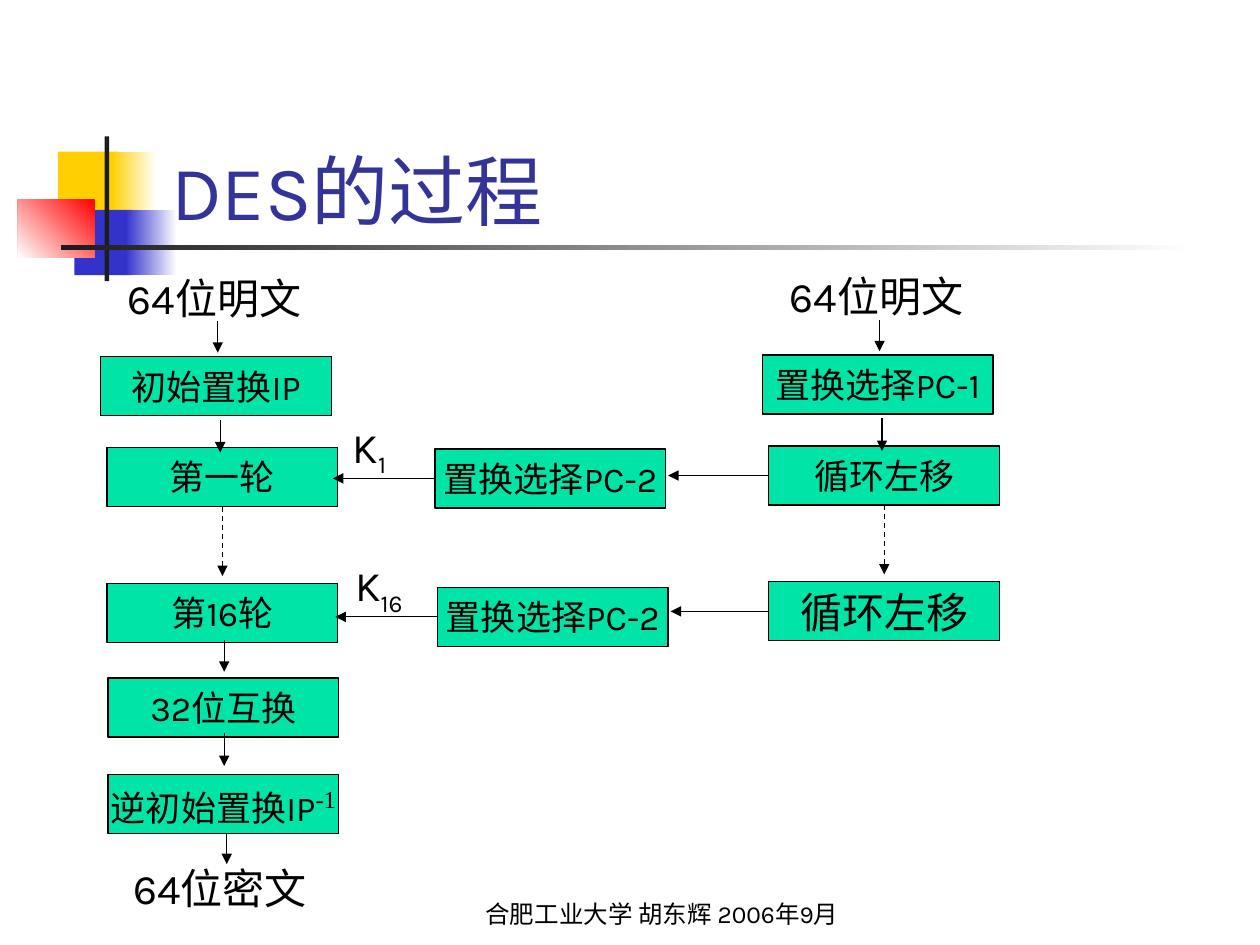
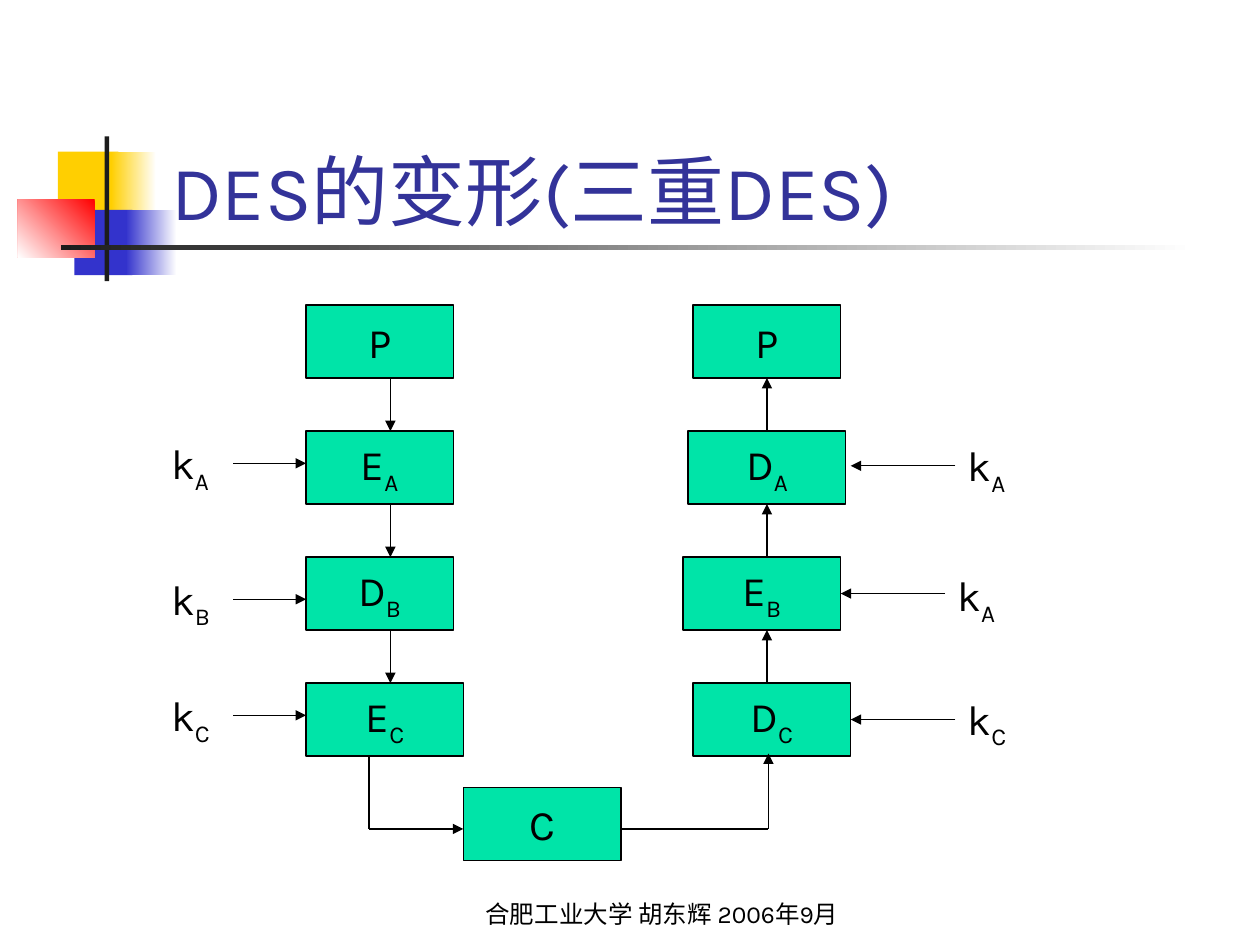
import math

import pptx
import pptx.dml.color
import pptx.enum.dml
import pptx.enum.shapes
import pptx.enum.text
import pptx.oxml
import pptx.oxml.ns
import pptx.util

Cm = pptx.util.Cm
ALIGN = pptx.enum.text.PP_ALIGN
ANCHOR = pptx.enum.text.MSO_ANCHOR
KIND = pptx.enum.shapes.MSO_SHAPE_TYPE

FONT = "Karla"
BLACK, WHITE, GREEN = "000000", "FFFFFF", "00E4A8"
GOLD, BLUE, RED, DARK, NAVY = "FFCF01", "3333CC", "FF0000", "1C1C1C", "333399"
FOOTER = "合肥工业大学 胡东辉 2006年9月"
SNAP = Cm(0.06)


def rgb(code):
    return pptx.dml.color.RGBColor.from_string(code)


def write(shape, text, size=24, color=BLACK, align=ALIGN.LEFT, anchor=ANCHOR.TOP,
          wrap=True, tail="", shift=-25, tail_font=FONT, tail_size=None):
    """Fill a shape with text and an optional raised or lowered tail."""
    frame = shape.text_frame
    frame.word_wrap = wrap
    frame.auto_size = pptx.enum.text.MSO_AUTO_SIZE.NONE
    frame.vertical_anchor = anchor
    frame.margin_left = frame.margin_right = Cm(0.25)
    frame.margin_top = frame.margin_bottom = Cm(0.13)
    para = frame.paragraphs[0]
    para.alignment = align
    parts = [(text, FONT, size, 0), (tail, tail_font, tail_size or size, shift)]
    for words, name, points, base in parts:
        if not words:
            continue
        run = para.add_run()
        run.text = words
        run.font.name = name
        run.font.size = pptx.util.Pt(points)
        run.font.color.rgb = rgb(color)
        if base:
            run._r.get_or_add_rPr().set("baseline", str(base * 1000))


def rect(slide, x, y, w, h, fill, end=None, angle=180):
    """Add a plain rectangle, shaded from fill to end when end is given."""
    kind = pptx.enum.shapes.MSO_SHAPE.RECTANGLE
    shape = slide.shapes.add_shape(kind, Cm(x), Cm(y), Cm(w), Cm(h))
    shape.shadow.inherit = False
    shape.line.fill.background()
    if end:
        shape.fill.gradient()
        shape.fill.gradient_angle = angle
        for stop, code in zip(shape.fill.gradient_stops, (fill, end)):
            stop.color.rgb = rgb(code)
    else:
        shape.fill.solid()
        shape.fill.fore_color.rgb = rgb(fill)
    return shape


def box(slide, x, y, text, w=4.65, h=1.19, **style):
    shape = rect(slide, x, y, w, h, GREEN)
    shape.line.color.rgb = rgb(BLACK)
    shape.line.width = pptx.util.Pt(0.75)
    write(shape, text, align=ALIGN.CENTER, anchor=ANCHOR.MIDDLE, wrap=False, **style)


def label(slide, x, y, text, w=4.39, h=1.27, **style):
    shape = slide.shapes.add_textbox(Cm(x), Cm(y), Cm(w), Cm(h))
    write(shape, text, **style)


def key(slide, x, y, text, tail):
    label(slide, x, y, text, 1.8, 1.42, tail=tail)


def join(slide, x, y, connect):
    """Connect a line end to the side of a box whose middle it meets."""
    for shape in slide.shapes:
        if shape.shape_type != KIND.AUTO_SHAPE:
            continue
        left, top, w, h = shape.left, shape.top, shape.width, shape.height
        sides = [(left + w / 2, top), (left, top + h / 2),
                 (left + w / 2, top + h), (left + w, top + h / 2)]
        for site, (sx, sy) in enumerate(sides):
            if math.hypot(sx - x, sy - y) < SNAP:
                connect(shape, site)
                return True
    return False


def line(slide, x1, y1, x2, y2, arrow=True, dash=False):
    """Add a level or upright line; a free end follows a joined one."""
    ends = [Cm(v) for v in (x1, y1, x2, y2)]
    wire = slide.shapes.add_connector(pptx.enum.shapes.MSO_CONNECTOR.STRAIGHT, *ends)
    wire.line.color.rgb = rgb(BLACK)
    wire.line.width = pptx.util.Pt(0.75)
    if dash:
        wire.line.dash_style = pptx.enum.dml.MSO_LINE.DASH
    space = pptx.oxml.ns.nsdecls("a")
    if arrow:
        head = pptx.oxml.parse_xml(f'<a:tailEnd {space} type="triangle"/>')
        wire.line._get_or_add_ln().append(head)
    wire.element.spPr.append(pptx.oxml.parse_xml(f"<a:effectLst {space}/>"))
    first = join(slide, *ends[:2], wire.begin_connect)
    last = join(slide, *ends[2:], wire.end_connect)
    upright = ends[0] == ends[2]
    if first and not last:
        if upright:
            wire.end_x = wire.begin_x
        else:
            wire.end_y = wire.begin_y
    elif last and not first:
        if upright:
            wire.begin_x = wire.end_x
        else:
            wire.begin_y = wire.end_y


def motif(slide, x, y):
    """Draw the coloured squares and the two rules beside the title."""
    rect(slide, x + 0.81, y + 0.31, 1.22, 1.32, GOLD)
    rect(slide, x + 1.88, y + 0.31, 0.91, 1.32, WHITE, GOLD)
    rect(slide, x + 1.14, y + 1.48, 1.17, 1.32, BLUE)
    rect(slide, x + 2.18, y + 1.48, 1.02, 1.32, WHITE, BLUE)
    rect(slide, x, y + 1.27, 1.55, 1.17, RED, WHITE, angle=225)
    rect(slide, x + 1.75, y, 0.09, 2.92, DARK)
    rect(slide, x + 0.87, y + 2.19, 22.86, 0.1, WHITE, DARK)


def page(deck, text):
    """Add a slide with the shared motif, title and footer."""
    slide = deck.slides.add_slide(deck.slide_layouts.get_by_name("Title Only"))
    motif(slide, 0.36, 2.75)
    title = slide.shapes.title
    title.left, title.top, title.width, title.height = map(Cm, (3.2, 1.7, 21.64, 3.18))
    write(title, text, size=44, color=NAVY, anchor=ANCHOR.BOTTOM)
    slide.shapes.element.append(title.element)  # lift the title above the motif
    label(slide, 9.32, 17.58, FOOTER, 8.05, size=14, align=ALIGN.CENTER,
          anchor=ANCHOR.BOTTOM)
    return slide


def column(slide, x, y, steps):
    """Stack the steps of one flow under its input label."""
    spots = [(0, 1.83), (0.13, 3.66), (0.13, 6.4), (0.15, 8.31), (0.15, 10.26)]
    drops = [(2.36, 1.12, 1.75), (2.41, 3.1, 3.76), (2.44, 4.83, 6.25),
             (2.49, 7.54, 8.18), (2.49, 9.42, 10.08)]
    label(slide, x + 0.3, y, "64位明文")
    for (dx, dy), (text, style) in zip(spots, steps):
        box(slide, x + dx, y + dy, text, **{"size": 20, **style})
    for num, (dx, top, end) in enumerate(drops[:len(steps)]):
        line(slide, x + dx, y + top, x + dx, y + end, dash=num == 2)


def feed(slide, x, y, num):
    """Lead one round key from the shift box to its round."""
    key(slide, x + 0.15, y, "K", num)
    box(slide, x + 2.06, y + 0.69, "置换选择PC-2", size=20)
    line(slide, x + 2.01, y + 1.26, x, y + 1.26)
    line(slide, x + 8.76, y + 1.23, x + 6.76, y + 1.23)


def flow(deck):
    slide = page(deck, "DES的过程")
    power = dict(tail="-1", shift=30, tail_font="Times New Roman", tail_size=24)
    column(slide, 2.03, 5.36, [("初始置换IP", {}), ("第一轮", {}), ("第16轮", {}),
                               ("32位互换", {}), ("逆初始置换IP", power)])
    line(slide, 4.57, 16.79, 4.57, 17.42)
    label(slide, 2.44, 17.25, "64位密文")
    column(slide, 15.37, 5.33, [("置换选择PC-1", {}), ("循环左移", {}),
                                ("循环左移", {"size": 24})])
    feed(slide, 6.71, 8.36, "1")
    feed(slide, 6.76, 11.15, "16")


def ladder(slide, x, y, rungs, keys, shaft, reach, up=False):
    """Stack boxes at equal steps, link them and feed in the keys."""
    step, high = 2.54, 1.47
    for row, (dx, w, text, tail) in enumerate(rungs):
        box(slide, x + dx, y + row * step, text, w, high, tail=tail)
    for row in range(len(rungs) - 1):
        ends = [y + row * step + high, y + (row + 1) * step]
        if up:
            ends.reverse()
        line(slide, x + shaft, ends[0], x + shaft, ends[1])
    for dx, dy, tail in keys:
        key(slide, x + dx, y + dy, "k", tail)
        level = y + dy + 0.65
        line(slide, x + dx + reach[0], level, x + dx + reach[1], level)


def bridge(slide, x, y):
    """Join the feet of both ladders through the cipher text."""
    low, far = y + 1.47, x + 8.05
    box(slide, x + 1.9, y + 0.64, "C", 3.18, 1.47)
    line(slide, x, y, x, low, arrow=False)
    line(slide, x, low, x + 1.9, low)
    line(slide, x + 5.08, low, far, low, arrow=False)
    line(slide, far, low, far, y - 0.05)


def triple(deck):
    slide = page(deck, "DES的变形(三重DES)")
    ladder(slide, 3.2, 6.15,
           [(2.97, 2.97, "P", ""), (2.97, 2.97, "E", "A"),
            (2.97, 2.97, "D", "B"), (2.97, 3.18, "E", "C")],
           [(0, 2.54, "A"), (0, 5.28, "B"), (0, 7.62, "C")],
           shaft=4.67, reach=(1.5, 2.97))
    ladder(slide, 13.77, 6.15,
           [(0.2, 2.98, "P", ""), (0.1, 3.18, "D", "A"),
            (0, 3.18, "E", "B"), (0.2, 3.18, "D", "C")],
           [(5.49, 2.59, "A"), (5.28, 5.21, "A"), (5.49, 7.7, "C")],
           shaft=1.69, reach=(0, -2.11), up=True)
    bridge(slide, 7.44, 15.24)


def main():
    deck = pptx.Presentation()
    deck.slide_width, deck.slide_height = Cm(25.4), Cm(19.05)
    flow(deck)
    triple(deck)
    deck.save("out.pptx")


if __name__ == "__main__":
    main()
